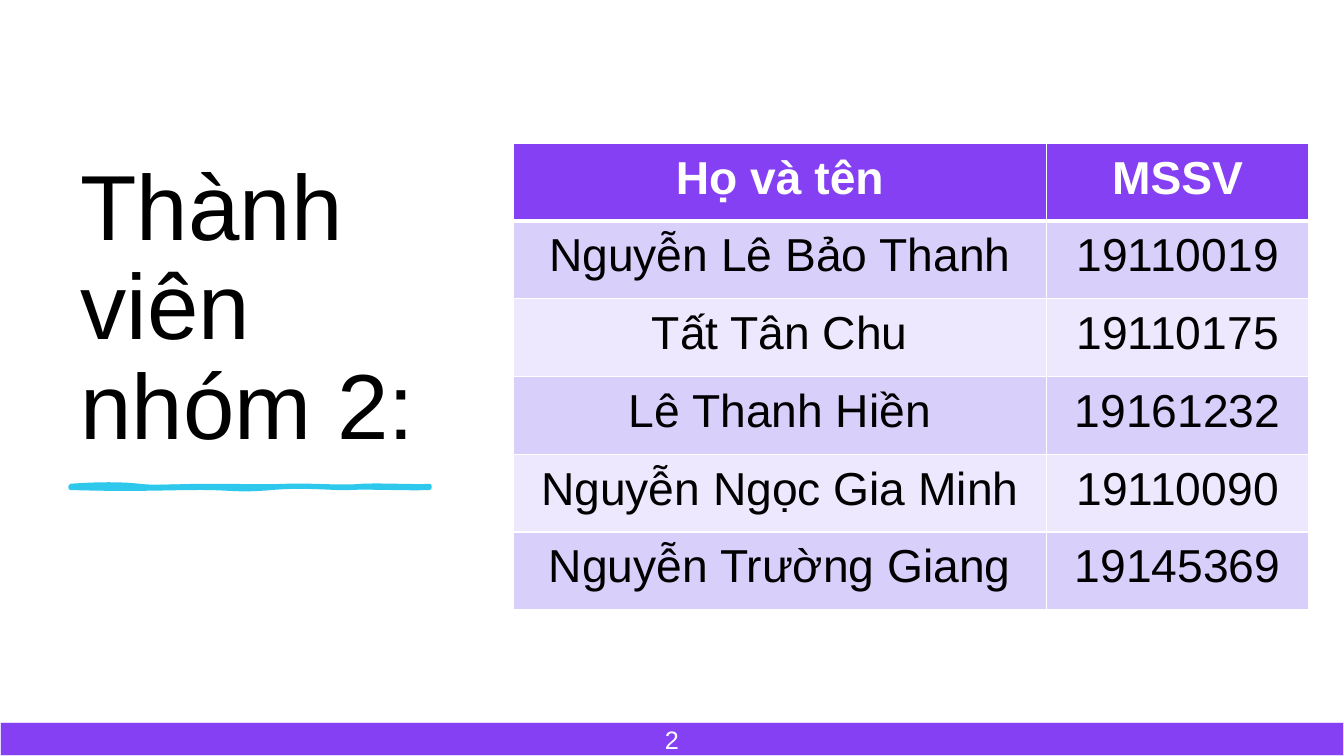
"""Build the team members slide: title, brush underline, table and footer."""
from dataclasses import dataclass

from lxml import etree
from pptx import Presentation
from pptx import util as u
from pptx.dml.color import RGBColor
from pptx.enum import shapes, text
from pptx.oxml import ns

PURPLE, LILAC, PALE, EDGE = "8540F4", "D9CFFB", "EDE8FD", "E7D9FD"
WHITE, BLACK, CYAN = "FFFFFF", "000000", "2EC8ED"

Point = tuple[float, float]


@dataclass
class Box:
    left: float
    top: float
    width: float
    height: float

    def emu(self) -> list[int]:
        return [u.Inches(v) for v in (self.left, self.top, self.width, self.height)]


@dataclass
class Style:
    size: float
    color: str
    bold: bool = False
    align: text.PP_ALIGN = text.PP_ALIGN.CENTER
    spacing: float = 1.0


@dataclass
class Member:
    name: str
    number: str


@dataclass
class Stroke:
    points: list[Point]
    options: dict[str, str]


MEMBERS = [
    Member("Nguyễn Lê Bảo Thanh", "19110019"),
    Member("Tất Tân Chu", "19110175"),
    Member("Lê Thanh Hiền", "19161232"),
    Member("Nguyễn Ngọc Gia Minh", "19110090"),
    Member("Nguyễn Trường Giang", "19145369"),
]

UNDERLINE = Box(0.7, 4.82, 3.56, 0.02)
STROKES = [
    Stroke([
        (0.7, 4.82), (0.97, 4.8), (1.21, 4.8), (1.38, 4.82), (1.55, 4.84), (1.77, 4.82),
        (2.09, 4.82), (2.41, 4.82), (2.6, 4.83), (2.84, 4.82), (3.08, 4.81), (3.39, 4.84),
        (3.59, 4.82), (3.79, 4.81), (4.12, 4.83), (4.26, 4.82), (4.26, 4.83), (4.26, 4.84),
        (4.26, 4.84), (4.08, 4.85), (3.64, 4.83), (3.48, 4.84), (3.32, 4.85), (3.04, 4.81),
        (2.7, 4.84), (2.35, 4.87), (2.31, 4.84), (1.99, 4.84), (1.66, 4.84), (1.32, 4.86),
        (0.7, 4.84), (0.7, 4.84), (0.7, 4.83), (0.7, 4.82)], {"fill": "none"}),
    Stroke([
        (0.7, 4.82), (1.02, 4.84), (1.1, 4.83), (1.38, 4.82), (1.66, 4.81), (1.69, 4.8),
        (1.99, 4.82), (2.28, 4.84), (2.61, 4.83), (2.77, 4.82), (2.93, 4.81), (3.27, 4.85),
        (3.44, 4.82), (3.62, 4.8), (3.97, 4.86), (4.26, 4.82), (4.26, 4.83), (4.26, 4.83),
        (4.26, 4.84), (4.12, 4.84), (3.72, 4.87), (3.55, 4.84), (3.38, 4.82), (3.09, 4.84),
        (2.77, 4.84), (2.44, 4.84), (2.4, 4.83), (2.16, 4.84), (1.93, 4.85), (1.79, 4.83),
        (1.45, 4.84), (1.11, 4.85), (0.92, 4.84), (0.7, 4.84), (0.7, 4.83), (0.7, 4.83),
        (0.7, 4.82)], {"stroke": "0"}),
]


def rgb(color: str) -> RGBColor:
    return RGBColor.from_string(color)


def child(parent, tag: str, **attributes: str):
    return etree.SubElement(parent, ns.qn(f"a:{tag}"), **attributes)


def write(tf, content: str, style: Style) -> None:
    p = tf.paragraphs[0]
    p.alignment, p.line_spacing = style.align, style.spacing
    r = p.add_run()
    r.text = content
    font = {"name": "Arial", "size": u.Pt(style.size), "bold": style.bold}
    for key, value in font.items():
        setattr(r.font, key, value)
    r.font.color.rgb = rgb(style.color)


def paint(sp, fill: str, line: str | None = None, width: float = 1) -> None:
    sp.shadow.inherit = False
    sp.fill.solid()
    sp.fill.fore_color.rgb = rgb(fill)
    if line:
        sp.line.color.rgb = rgb(line)
        sp.line.width = u.Pt(width)
    else:
        sp.line.fill.background()


def add_rect(s, box: Box, fill: str, line: str | None = None):
    sp = s.shapes.add_shape(shapes.MSO_SHAPE.RECTANGLE, *box.emu())
    paint(sp, fill, line)
    return sp


def add_curves(parent, box: Box, stroke: Stroke) -> None:
    left, top, width, height = box.emu()
    outline = child(parent, "path", w=str(width), h=str(height), **stroke.options)
    holder = child(outline, "moveTo")
    for i, (x, y) in enumerate(stroke.points):
        if i % 3 == 1:
            holder = child(outline, "cubicBezTo")
        child(holder, "pt", x=str(u.Inches(x) - left), y=str(u.Inches(y) - top))
    child(outline, "close")


def add_underline(s, box: Box, strokes: list[Stroke]) -> None:
    left, top, width, height = box.emu()
    builder = s.shapes.build_freeform(left, top)
    builder.add_line_segments([(left + width, top), (left + width, top + height),
                               (left, top + height)])
    sp = builder.convert_to_shape()
    paint(sp, CYAN, CYAN, 3)
    outlines = sp._element.spPr.find(".//" + ns.qn("a:pathLst"))
    outlines.remove(outlines[0])
    for stroke in strokes:
        add_curves(outlines, box, stroke)


def add_borders(cell, widths: dict[str, float]) -> None:
    tc_pr = cell._tc.get_or_add_tcPr()
    for side, width in widths.items():
        ln = child(tc_pr, f"ln{side}", w=str(u.Pt(width)))
        child(child(ln, "solidFill"), "srgbClr", val=WHITE)


def add_members(s, box: Box, widths: list[float]) -> None:
    rows = [Member("Họ và tên", "MSSV"), *MEMBERS]
    table = s.shapes.add_table(len(rows), len(widths), *box.emu()).table
    for column, width in zip(table.columns, widths):
        column.width = u.Inches(width)
    margins = {"margin_left": 0.18, "margin_right": 0.18,
               "margin_top": 0.09, "margin_bottom": 0.09}
    for i, member in enumerate(rows):
        header = i == 0
        fill = PURPLE if header else (LILAC if i % 2 else PALE)
        style = Style(33, WHITE if header else BLACK, bold=header)
        for j, content in enumerate((member.name, member.number)):
            cell = table.cell(i, j)
            for key, value in margins.items():
                setattr(cell, key, u.Inches(value))
            if header:
                add_borders(cell, {"L": 1, "R": 1, "T": 1, "B": 3})
            cell.fill.solid()
            cell.fill.fore_color.rgb = rgb(fill)
            write(cell.text_frame, content, style)


def main() -> None:
    prs = Presentation()
    prs.slide_width, prs.slide_height = u.Inches(13.33), u.Inches(7.5)
    s = prs.slides.add_slide(prs.slide_layouts[6])
    add_rect(s, Box(0, 0, 13.33, 7.5), WHITE)

    tf = s.shapes.add_textbox(*Box(0.7, 0.7, 3.91, 3.91).emu()).text_frame
    tf.word_wrap, tf.vertical_anchor = True, text.MSO_ANCHOR.BOTTOM
    write(tf, "Thành viên nhóm 2:", Style(66, BLACK, align=text.PP_ALIGN.LEFT, spacing=0.9))

    add_underline(s, UNDERLINE, STROKES)
    add_members(s, Box(5.09, 1.42, 7.89, 4.63), [5.29, 2.6])

    footer = add_rect(s, Box(0, 7.17, 13.33, 0.33), PURPLE, EDGE)
    footer.text_frame.vertical_anchor = text.MSO_ANCHOR.MIDDLE
    write(footer.text_frame, "2", Style(18, WHITE))
    prs.save("out.pptx")


if __name__ == "__main__":
    main()
